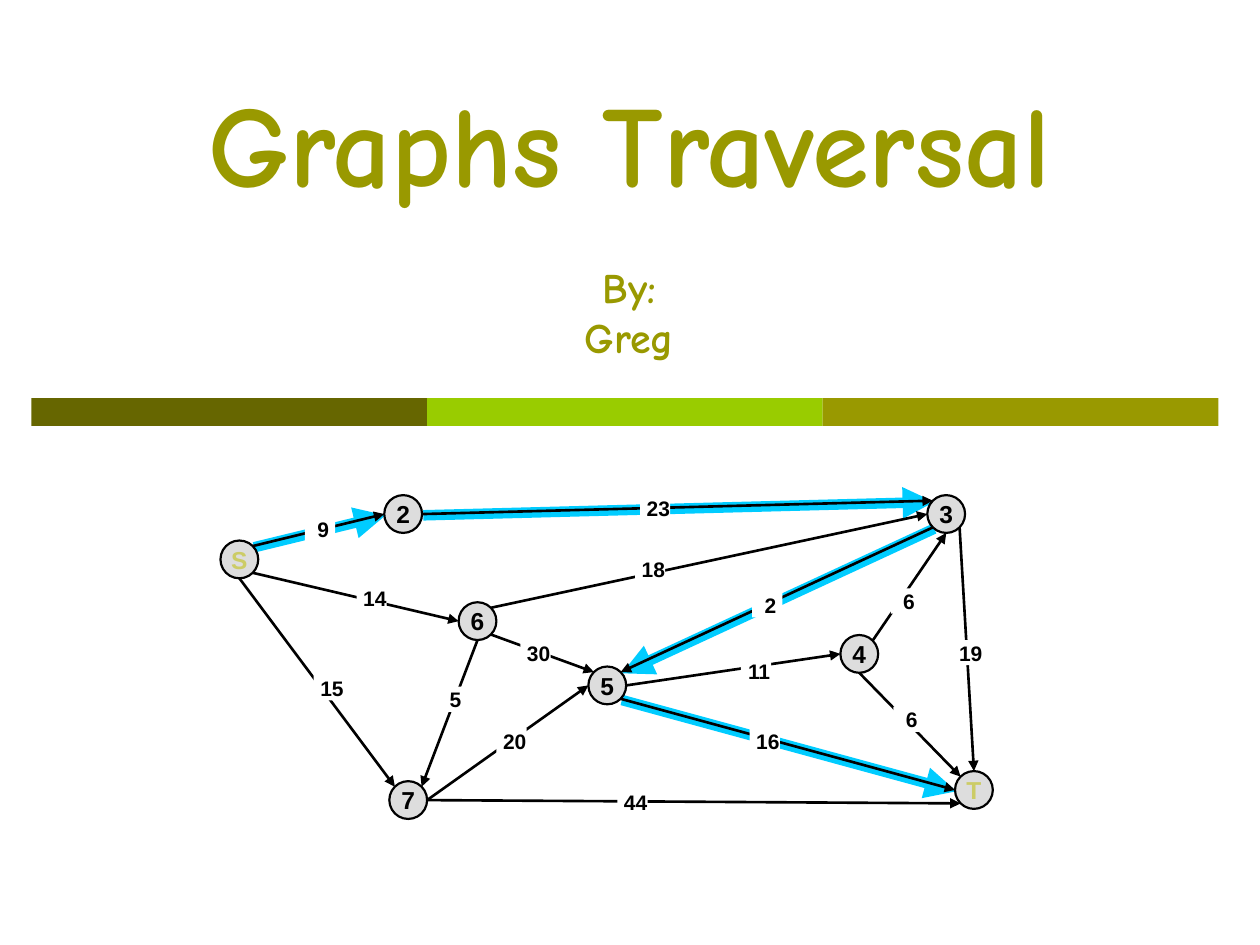
from math import sqrt
from typing import NamedTuple

from lxml import etree
from pptx import Presentation
from pptx.dml.color import RGBColor
from pptx.enum import shapes, text
from pptx.oxml.ns import qn
from pptx.util import Inches, Pt

OLIVE, BLACK, WHITE = "999900", "000000", "FFFFFF"
NODE_FILL, TERMINAL, ROUTE = "DDDDDD", "CCCC66", "00CCFF"
RADIUS = 0.15
DIAGONAL = 1 / sqrt(2)
# Points on a node's rim where edges attach, as unit offsets from its centre
RIM = {
    "top": (0, -1), "bottom": (0, 1), "left": (-1, 0), "right": (1, 0),
    "top left": (-DIAGONAL, -DIAGONAL), "top right": (DIAGONAL, -DIAGONAL),
    "bottom left": (-DIAGONAL, DIAGONAL), "bottom right": (DIAGONAL, DIAGONAL),
}


class Node(NamedTuple):
    x: float
    y: float
    color: str = BLACK


class Edge(NamedTuple):
    start: str
    start_side: str
    end: str
    end_side: str
    weight: int
    label_left: float
    label_top: float
    on_route: bool = False


NODES = {
    "S": Node(1.9, 4.44, TERMINAL),
    "3": Node(7.51, 4.08),
    "T": Node(7.73, 6.27, TERMINAL),
    "2": Node(3.2, 4.08),
    "6": Node(3.79, 4.93),
    "7": Node(3.24, 6.35),
    "4": Node(6.82, 5.19),
    "5": Node(4.82, 5.44),
}
EDGES = [
    Edge("S", "top right", "2", "left", 9, 2.42, 4.1, True),
    Edge("S", "bottom right", "6", "left", 14, 2.83, 4.65),
    Edge("S", "bottom", "7", "top left", 15, 2.49, 5.36),
    Edge("6", "top right", "3", "left", 18, 5.04, 4.42),
    Edge("4", "top right", "3", "bottom", 6, 7.07, 4.67),
    Edge("6", "bottom right", "5", "top left", 30, 4.13, 5.08),
    Edge("5", "bottom right", "T", "left", 16, 5.95, 5.78, True),
    Edge("5", "right", "4", "left", 11, 5.88, 5.23),
    Edge("4", "bottom", "T", "top left", 6, 7.09, 5.61),
    Edge("3", "bottom left", "5", "top right", 2, 5.97, 4.7, True),
    Edge("6", "bottom", "7", "top right", 5, 3.47, 5.45),
    Edge("7", "right", "5", "left", 20, 3.94, 5.78),
    Edge("2", "right", "3", "top left", 23, 5.08, 3.93, True),
    Edge("7", "right", "T", "bottom left", 44, 4.9, 6.27),
    Edge("3", "bottom right", "T", "top", 19, 7.56, 5.08),
]


def rgb(color: str) -> RGBColor:
    return RGBColor.from_string(color)


def style_paragraph(paragraph, font_name: str, size: float, color: str) -> None:
    paragraph.alignment = text.PP_ALIGN.CENTER
    for run in paragraph.runs:
        run.font.name = font_name
        run.font.size = Pt(size)
        run.font.bold = True
        run.font.color.rgb = rgb(color)


def add_filled(slide, kind, left: float, top: float, width: float, height: float, fill: str):
    shape = slide.shapes.add_shape(
        kind, Inches(left), Inches(top), Inches(width), Inches(height))
    shape.shadow.inherit = False
    shape.fill.solid()
    shape.fill.fore_color.rgb = rgb(fill)
    shape.line.fill.background()
    return shape


def add_heading(slide) -> None:
    title = slide.shapes.title
    title.left, title.top = Inches(1.52), Inches(0.52)
    title.width, title.height = Inches(6.95), Inches(2.4)
    frame = title.text_frame
    frame.text = "Graphs Traversal\nBy:\nGreg"
    frame.word_wrap = False
    frame.auto_size = text.MSO_AUTO_SIZE.NONE
    frame.vertical_anchor = text.MSO_ANCHOR.TOP
    for paragraph, size in zip(frame.paragraphs, (66, 24, 24)):
        style_paragraph(paragraph, "Comic Neue", size, OLIVE)
    frame.paragraphs[1].space_before = Pt(29)


def add_color_bar(slide) -> None:
    width = 3.14
    for i, color in enumerate(("666600", "99CC00", OLIVE)):
        add_filled(slide, shapes.MSO_SHAPE.RECTANGLE, 0.25 + i * width, 3.16, width, 0.22, color)


def rim_point(name: str, side: str) -> tuple[float, float]:
    node, (dx, dy) = NODES[name], RIM[side]
    return node.x + dx * RADIUS, node.y + dy * RADIUS


def add_arrow(slide, edge: Edge, color: str, width: float, shift: float = 0) -> None:
    points = (rim_point(edge.start, edge.start_side), rim_point(edge.end, edge.end_side))
    ends = [Inches(value + shift) for point in points for value in point]
    arrow = slide.shapes.add_connector(shapes.MSO_CONNECTOR.STRAIGHT, *ends)
    arrow.line.color.rgb = rgb(color)
    arrow.line.width = Pt(width)
    etree.SubElement(arrow.line._get_or_add_ln(), qn("a:tailEnd"), type="triangle")
    etree.SubElement(arrow._element.spPr, qn("a:effectLst"))


def add_node(slide, name: str, node: Node) -> None:
    circle = add_filled(slide, shapes.MSO_SHAPE.OVAL, node.x - RADIUS, node.y - RADIUS,
                        2 * RADIUS, 2 * RADIUS, NODE_FILL)
    circle.line.color.rgb = rgb(BLACK)
    circle.line.width = Pt(1.25)
    frame = circle.text_frame
    frame.text = name
    frame.word_wrap = False
    frame.vertical_anchor = text.MSO_ANCHOR.MIDDLE
    style_paragraph(frame.paragraphs[0], "Arial", 14, node.color)


def add_weight(slide, edge: Edge) -> None:
    label = add_filled(slide, shapes.MSO_SHAPE.RECTANGLE,
                       edge.label_left, edge.label_top, 0.24, 0.2, WHITE)
    frame = label.text_frame
    frame.text = str(edge.weight)
    frame.word_wrap = False
    frame.vertical_anchor = text.MSO_ANCHOR.TOP
    frame.margin_left = Inches(0.05)
    frame.margin_right = frame.margin_top = frame.margin_bottom = 0
    style_paragraph(frame.paragraphs[0], "Arial", 12, BLACK)


def main() -> None:
    deck = Presentation()
    deck.slide_width, deck.slide_height = Inches(10), Inches(7.5)
    slide = deck.slides.add_slide(deck.slide_layouts.get_by_name("Title Only"))
    add_heading(slide)
    add_color_bar(slide)
    for edge in EDGES:
        if edge.on_route:
            add_arrow(slide, edge, ROUTE, 6, shift=0.01)
    for name, node in NODES.items():
        add_node(slide, name, node)
    for edge in EDGES:
        add_arrow(slide, edge, BLACK, 1.5)
    for edge in EDGES:
        add_weight(slide, edge)
    deck.save("out.pptx")


if __name__ == "__main__":
    main()
